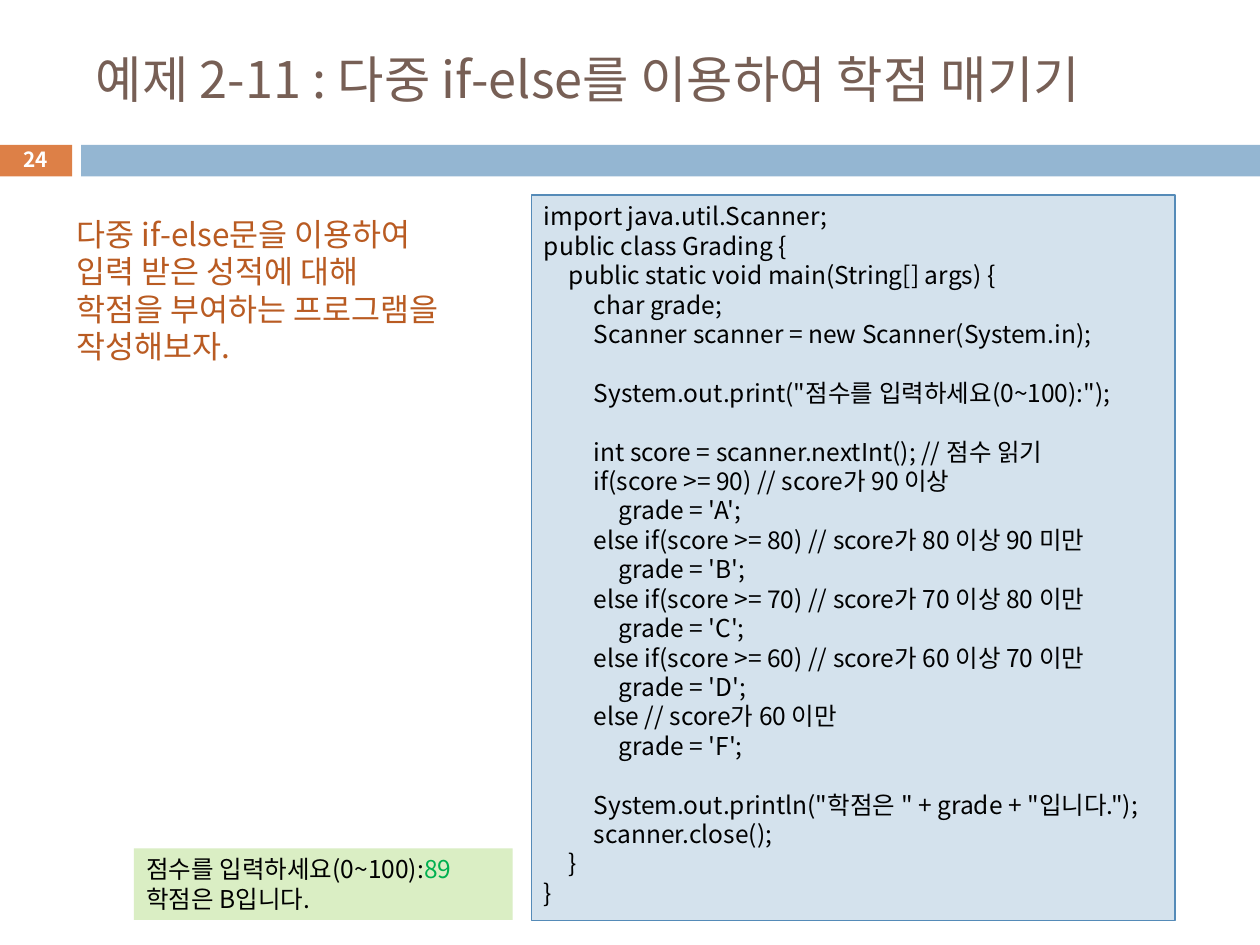
from pptx import Presentation
from pptx.dml.color import RGBColor
from pptx.enum import shapes, text
from pptx.oxml import ns
from pptx.util import Pt
from lxml import etree

FONT = "Noto Sans CJK KR"
BLACK = RGBColor(0, 0, 0)
WHITE = RGBColor(255, 255, 255)
BROWN = RGBColor(0x77, 0x5F, 0x55)
RUST = RGBColor(0xB9, 0x5B, 0x22)
ORANGE = RGBColor(0xDD, 0x80, 0x47)
BLUE = RGBColor(0x94, 0xB6, 0xD2)
PALE = RGBColor(0xD4, 0xE2, 0xED)
EDGE = RGBColor(0x55, 0x8B, 0xB8)
LIME = RGBColor(0xDA, 0xEE, 0xC4)
GREEN = RGBColor(0, 0xB0, 0x50)

TAB = 14.25  # indent of one code level

# Each block of code is set off by a gap of one line.
CODE = [
    [(0, "import java.util.Scanner;"),
     (0, "public class Grading {"),
     (1, "public static void main(String[] args) {"),
     (2, "char grade;"),
     (2, "Scanner scanner = new Scanner(System.in);")],
    [(2, 'System.out.print("점수를 입력하세요(0~100):");')],
    [(2, "int score = scanner.nextInt(); // 점수 읽기"),
     (2, "if(score >= 90) // score가 90 이상"),
     (3, "grade = 'A';"),
     (2, "else if(score >= 80) // score가 80 이상 90 미만"),
     (3, "grade = 'B';"),
     (2, "else if(score >= 70) // score가 70 이상 80 이만"),
     (3, "grade = 'C';"),
     (2, "else if(score >= 60) // score가 60 이상 70 이만"),
     (3, "grade = 'D';"),
     (2, "else // score가 60 이만"),
     (3, "grade = 'F';")],
    [(2, 'System.out.println("학점은 " + grade + "입니다.");'),
     (2, "scanner.close();"),
     (1, "}"),
     (0, "}")],
]
TASK = ["다중 if-else문을 이용하여", "입력 받은 성적에 대해",
        "학점을 부여하는 프로그램을", "작성해보자."]


def style(obj, **vals):
    for key, val in vals.items():
        setattr(obj, key, val)


def add_run(para, words, size, color, bold=False):
    run = para.add_run()
    run.text = words
    style(run.font, name=FONT, size=Pt(size), bold=bold)
    run.font.color.rgb = color
    east = etree.SubElement(run.font._element, ns.qn("a:ea"))
    east.set("typeface", FONT)


def add_rect(slide, box, fill, edge=None):
    rect = slide.shapes.add_shape(shapes.MSO_SHAPE.RECTANGLE, *map(Pt, box))
    rect.shadow.inherit = False
    rect.fill.solid()
    rect.fill.fore_color.rgb = fill
    if edge is None:
        rect.line.fill.background()
    else:
        rect.line.color.rgb = edge
        rect.line.width = Pt(0.75)
    return rect


def fill_text(shape, lines, size, pitch=None, anchor=text.MSO_ANCHOR.TOP,
              align=text.PP_ALIGN.LEFT, bold=False, **frame):
    """Each line is (level, gap before, [(words, colour), ...])."""
    body = shape.text_frame
    style(body, word_wrap=True, vertical_anchor=anchor, **frame)
    for num, (level, gap, runs) in enumerate(lines):
        para = body.add_paragraph() if num else body.paragraphs[0]
        style(para, alignment=align, space_before=Pt(gap))
        if pitch:
            para.line_spacing = Pt(pitch)
        if level:
            props = para._p.get_or_add_pPr()
            props.set("marL", str(Pt(level * TAB)))
            props.set("indent", "0")
        for words, color in runs:
            add_run(para, words, size, color, bold)


def add_head(slide, left, top, width):
    # Title, with the number tab and the bar below it
    title = slide.shapes.add_textbox(
        Pt(left + 48.25), Pt(top), Pt(642), Pt(53.3))
    fill_text(title, [(0, 0, [("예제 2-11 : 다중 if-else를 이용하여 학점 매기기", BROWN)])],
              28.8, anchor=text.MSO_ANCHOR.MIDDLE)
    add_rect(slide, (left, top + 64.8, 41.75, 18), ORANGE)
    add_rect(slide, (left + 46.8, top + 64.8, width - 46.8, 18), BLUE)
    page = slide.shapes.add_textbox(
        Pt(left), Pt(top + 63.4), Pt(41.75), Pt(19.4))
    fill_text(page, [(0, 0, [("24", WHITE)])], 11.9, bold=True,
              anchor=text.MSO_ANCHOR.MIDDLE, align=text.PP_ALIGN.CENTER,
              margin_top=0, margin_bottom=0)


def add_task(slide, box):
    note = slide.shapes.add_textbox(*map(Pt, box))
    fill_text(note, [(0, 0, [(line, RUST)]) for line in TASK], 18, 21.4)


def add_code(slide, box):
    pitch = 16.8
    lines = [(level, pitch if part and not num else 0, [(words, BLACK)])
             for part, block in enumerate(CODE)
             for num, (level, words) in enumerate(block)]
    fill_text(add_rect(slide, box, PALE, EDGE), lines, 14, pitch,
              margin_right=0)


def add_result(slide, box):
    lines = [(0, 0, [("점수를 입력하세요(0~100):", BLACK), ("89", GREEN)]),
             (0, 0, [("학점은 B입니다.", BLACK)])]
    fill_text(add_rect(slide, box, LIME), lines, 14, 16.8)


deck = Presentation()
style(deck, slide_width=Pt(720), slide_height=Pt(540))
slide = deck.slides.add_slide(deck.slide_layouts[6])
add_head(slide, -0.5, 18, 720.5)
add_code(slide, (303.75, 111.5, 367.75, 414.5))
add_task(slide, (36.75, 119.5, 245, 94.3))
add_result(slide, (76.5, 484.75, 216.5, 41))
deck.save("out.pptx")
